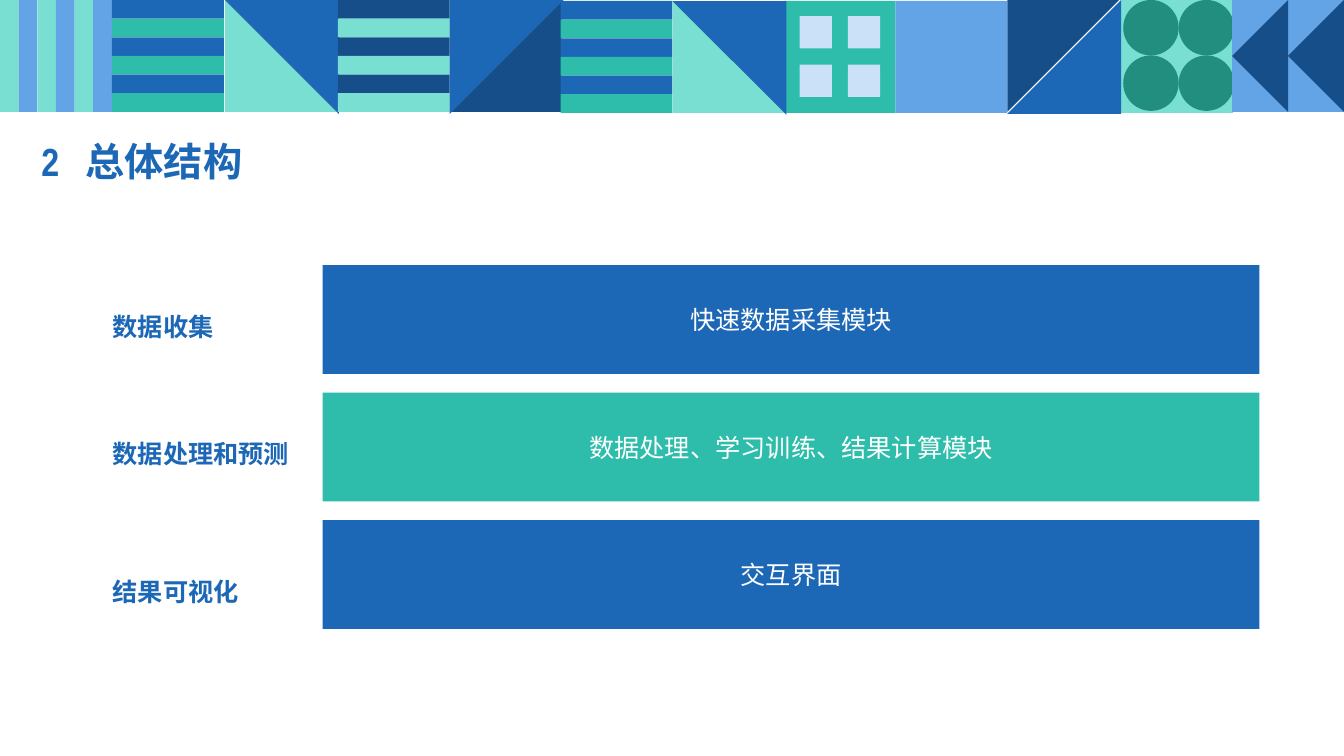
from lxml.etree import SubElement
from pptx import Presentation
from pptx.dml.color import RGBColor
from pptx.enum.shapes import MSO_SHAPE
from pptx.enum.text import MSO_ANCHOR, MSO_AUTO_SIZE, PP_ALIGN
from pptx.oxml.ns import qn
from pptx.util import Inches, Pt

BLUE, TEAL, MINT = "1C68B6", "2DBDAA", "79DFD2"
NAVY, SKY, GREEN, PALE = "154E88", "63A4E7", "228E80", "CBE1F7"
WHITE = "FFFFFF"
TILE = 1.11
STRIPE = TILE / 6


def color(hex_code):
    return RGBColor.from_string(hex_code)


class SlideBuilder:
    font_name = "Arial Narrow"

    def __init__(self, slide):
        self.slide = slide

    def style(self, paragraph, size, hex_code, bold=False):
        for run in paragraph.runs:
            run.font.name = self.font_name
            run.font.size = Pt(size)
            run.font.bold = bold
            run.font.color.rgb = color(hex_code)

    def title(self, text, left, top, width, height, tab_stop):
        heading = self.slide.shapes.title
        heading.left, heading.top = Inches(left), Inches(top)
        heading.width, heading.height = Inches(width), Inches(height)
        frame = heading.text_frame
        frame.text = text
        frame.auto_size = MSO_AUTO_SIZE.NONE
        frame.vertical_anchor = MSO_ANCHOR.MIDDLE
        paragraph = frame.paragraphs[0]
        paragraph.alignment = PP_ALIGN.LEFT
        paragraph.line_spacing = 0.9
        tabs = SubElement(paragraph._p.get_or_add_pPr(), qn("a:tabLst"))
        SubElement(tabs, qn("a:tab"), pos=str(Inches(tab_stop)), algn="l")
        self.style(paragraph, 28, BLUE, bold=True)

    def shape(self, preset, left, top, width, height, fill, rotation=0):
        part = self.slide.shapes.add_shape(
            preset, Inches(left), Inches(top), Inches(width), Inches(height))
        part.shadow.inherit = False
        part.fill.solid()
        part.fill.fore_color.rgb = color(fill)
        part.line.fill.background()
        part.rotation = rotation
        return part

    def rect(self, left, top, width, height, fill):
        return self.shape(MSO_SHAPE.RECTANGLE, left, top, width, height, fill)

    def module_bar(self, text, left, top, width, height, fill):
        frame = self.rect(left, top, width, height, fill).text_frame
        frame.text = text
        frame.word_wrap = True
        frame.vertical_anchor = MSO_ANCHOR.MIDDLE
        frame.paragraphs[0].alignment = PP_ALIGN.CENTER
        self.style(frame.paragraphs[0], 18, WHITE)

    def label(self, text, left, top, width, height):
        frame = self.slide.shapes.add_textbox(
            Inches(left), Inches(top), Inches(width), Inches(height)).text_frame
        frame.text = text
        frame.word_wrap = False
        frame.auto_size = MSO_AUTO_SIZE.SHAPE_TO_FIT_TEXT
        frame.paragraphs[0].line_spacing = 1.5
        self.style(frame.paragraphs[0], 18, BLUE, bold=True)

    # Tiles of the banner
    def column_tile(self, left, fills):
        for i in range(6):
            self.rect(left + i * STRIPE, 0, STRIPE, TILE, fills[i % 2])

    def row_tile(self, left, top, fills):
        for i in range(6):
            self.rect(left, top + i * STRIPE, TILE, STRIPE, fills[i % 2])

    def diagonal_tile(self, left, top, back, front):
        for size, (fill, rotation) in zip((TILE, 1.13), (back, front)):
            self.shape(MSO_SHAPE.RIGHT_TRIANGLE, left, top, size, size, fill, rotation)

    def four_tile(self, preset, left, top, size, pitch, fill):
        for row in range(2):
            for column in range(2):
                self.shape(preset, left + column * pitch, top + row * pitch,
                           size, size, fill)

    def arrow_tile(self, left, back, front):
        self.rect(left, 0, TILE, TILE, back)
        half = TILE / 2
        for i in range(2):
            center = left + (i + 0.5) * half
            self.shape(MSO_SHAPE.ISOSCELES_TRIANGLE, center - half, half / 2,
                       TILE, half, front, 270)


def main():
    presentation = Presentation()
    presentation.slide_width = Inches(13.33)
    presentation.slide_height = Inches(7.5)
    builder = SlideBuilder(presentation.slides.add_slide(presentation.slide_layouts[5]))

    # Banner
    builder.column_tile(0, (MINT, SKY))
    builder.row_tile(1.11, 0, (BLUE, TEAL))
    builder.diagonal_tile(2.23, 0, (MINT, 0), (BLUE, 180))
    builder.row_tile(3.35, 0, (NAVY, MINT))
    builder.diagonal_tile(4.46, 0, (NAVY, 270), (BLUE, 90))
    builder.row_tile(5.56, 0.01, (BLUE, TEAL))
    builder.rect(7.77, 0.01, TILE, TILE, TEAL)
    builder.four_tile(MSO_SHAPE.RECTANGLE, 7.93, 0.16, 0.32, 0.48, PALE)
    builder.diagonal_tile(6.67, 0.01, (MINT, 0), (BLUE, 180))
    builder.rect(8.88, 0.01, TILE, TILE, SKY)
    builder.rect(11.12, 0, TILE, 1.12, MINT)
    builder.four_tile(MSO_SHAPE.OVAL, 11.14, 0, 0.55, 0.55, GREEN)
    builder.diagonal_tile(9.99, 0, (NAVY, 90), (BLUE, 270))
    builder.arrow_tile(12.22, SKY, NAVY)

    # Heading
    builder.title("2\t总体结构", 0.31, 1.31, 3.84, 0.63, tab_stop=0.44)

    # Layers: label and module
    layers = [
        ("数据收集", 2.89, 1.21, "快速数据采集模块", BLUE),
        ("数据处理和预测", 4.15, 1.97, "数据处理、学习训练、结果计算模块", TEAL),
        ("结果可视化", 5.52, 1.46, "交互界面", BLUE),
    ]
    for i, (stage, stage_top, stage_width, module, fill) in enumerate(layers):
        builder.module_bar(module, 3.2, 2.63 + i * 1.265, 9.29, 1.08, fill)
        builder.label(stage, 1.02, stage_top, stage_width, 0.56)

    presentation.save("out.pptx")


if __name__ == "__main__":
    main()
